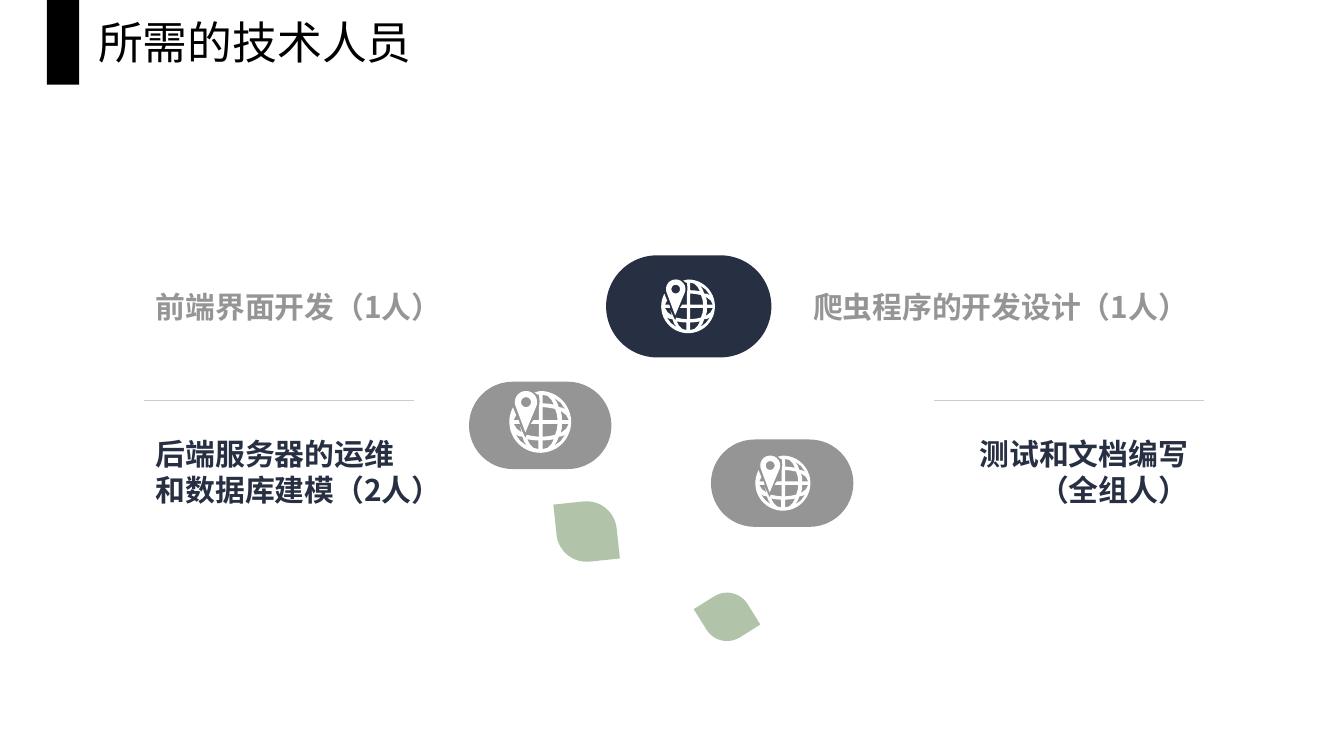
from dataclasses import dataclass
from math import cos, radians, sin

from pptx import Presentation
from pptx import util as u
from pptx.dml.color import RGBColor
from pptx.enum import shapes, text
from pptx.oxml import ns, xmlchemy as xml

In = u.Inches
Geo = shapes.MSO_SHAPE
Align = text.PP_ALIGN
Fit = text.MSO_AUTO_SIZE
Top = text.MSO_ANCHOR.TOP


@dataclass(frozen=True)
class Theme:
    """Colours, font and type sizes of the slide."""
    navy: str = "272F42"
    grey: str = "959595"
    leaf: str = "6F9161"
    rule: str = "CCCCCC"
    black: str = "000000"
    white: str = "FFFFFF"
    font: str = "Noto Sans CJK SC"
    head: int = 24
    body: int = 16


T = Theme()


def put(obj, vals):
    """Set each named attribute on an object."""
    for name, val in vals.items():
        setattr(obj, name, val)


def sub(elm, tag, **vals):
    """Append a child element with the given attributes."""
    child = xml.OxmlElement(tag)
    for name, val in vals.items():
        child.set(name, val)
    elm.append(child)
    return child


def paint(shape, color=None):
    """Give a shape a plain fill, or none, with no line or shadow."""
    shape.shadow.inherit = False
    shape.line.fill.background()
    if color is None:
        shape.fill.background()
    else:
        shape.fill.solid()
        shape.fill.fore_color.rgb = RGBColor.from_string(color)


def block(slide, kind, box, color=None, adjs=()):
    """Add a preset shape."""
    shape = slide.shapes.add_shape(kind, *map(In, box))
    paint(shape, color)
    for i, val in enumerate(adjs):
        shape.adjustments[i] = val
    return shape


def leaf(slide, box, turn):
    """Add a translucent leaf turned by some degrees."""
    shape = block(slide, Geo.ROUND_2_DIAG_RECTANGLE, box, T.leaf, (0, 0.5))
    shape.rotation = turn
    tone = shape.fill._xPr.find(".//" + ns.qn("a:srgbClr"))
    sub(tone, "a:alpha", val="54000")


def write(frame, lines, size, color, align, bold=False):
    """Write one paragraph per line in the theme font."""
    for i, line in enumerate(lines):
        para = frame.paragraphs[0] if i == 0 else frame.add_paragraph()
        para.alignment = align
        run = para.add_run()
        run.text = line
        put(run.font, {"name": T.font, "size": u.Pt(size), "bold": bold})
        run.font.color.rgb = RGBColor.from_string(color)
        sub(run.font._element, "a:ea", typeface=T.font)


def label(slide, box, lines, color, align):
    """Add a bold label without insets or wrapping."""
    frame = block(slide, Geo.RECTANGLE, box).text_frame
    put(frame, {"margin_left": 0, "margin_right": 0, "margin_top": 0,
                "margin_bottom": 0, "word_wrap": False, "vertical_anchor": Top})
    write(frame, lines, T.body, color, align, True)


def rule(slide, left, top, wide):
    """Add a thin level line."""
    line = slide.shapes.add_connector(
        shapes.MSO_CONNECTOR.STRAIGHT, *map(In, (left, top, left + wide, top)))
    line.line.color.rgb = RGBColor.from_string(T.rule)
    line.line.width = u.Pt(0.75)
    sub(line._element.spPr, "a:effectLst")


def arc(mid, rad, start, end, steps=40):
    """Return points on a circle between two angles."""
    angs = [radians(start + (end - start) * i / steps) for i in range(steps + 1)]
    return [(mid[0] + rad * cos(a), mid[1] + rad * sin(a)) for a in angs]


def globe():
    """Return the outlines of a pinned globe on a grid of 100."""
    caps = [[(54, 6), (54, 20), (63, 20.5), (72, 22), (68, 14), (62, 8)],
            [(72, 11), (77, 18), (80, 26), (86, 27), (91, 30), (83, 19)]]
    mids = [[(54, 26), (54, 47), (78, 47), (77, 38), (74, 29), (64, 27)],
            [(83, 32), (85, 40), (85, 47), (96, 47), (92, 39)]]
    dent = [(11, 39), (7, 47), (15, 47), (17, 53), (7, 53), (12, 61), (20, 67),
            (17, 57), (26, 76), (28, 71), (38, 73), (48, 74), (48, 53), (35, 53),
            (39, 47), (48, 47), (48, 26), (49, 17), (48, 6), (46, 6), (41, 2)]
    low = [[(x, 100 - y) for x, y in cell] for cell in caps + mids]
    left = [[(101 - x, y) for x, y in cell] for cell in low[:len(caps)]]
    body = arc((50, 50), 50, -90, 208) + dent
    pin = arc((27, 18), 18, 160, 380) + [(26, 67)]
    hole = arc((27, 18), 8, 0, 360)
    return [body, *caps, *mids, *low, *left, pin, hole]


def icon(slide, left, top, size):
    """Add a white globe icon as one freeform."""
    fine = 10
    paths = [[(x * fine, y * fine) for x, y in path] for path in globe()]
    form = slide.shapes.build_freeform(*paths[0][0], scale=In(size) / (100 * fine))
    for i, path in enumerate(paths):
        if i:
            form.move_to(*path[0])
        form.add_line_segments(path[1:], close=True)
    paint(form.convert_to_shape(In(left), In(top)), T.white)


def title(slide, words):
    """Place the title beside its black bar."""
    head = slide.shapes.title
    put(head, dict(zip(("left", "top", "width", "height"),
                       map(In, (0.63, 0.06, 2.56, 0.5)))))
    put(head.text_frame, {"word_wrap": True, "vertical_anchor": Top,
                          "auto_size": Fit.SHAPE_TO_FIT_TEXT})
    write(head.text_frame, [words], T.head, T.black, Align.JUSTIFY)
    block(slide, Geo.RECTANGLE, (0.35, 0, 0.24, 0.63), T.black)


def main():
    """Build the staffing slide."""
    deck = Presentation()
    put(deck, {"slide_width": In(10), "slide_height": In(10) * 9 // 16})
    slide = deck.slides.add_slide(deck.slide_layouts[5])
    title(slide, "所需的技术人员")
    pills = [((4.51, 1.9, 1.23, 0.76), T.navy, (4.92, 2.08, 0.4)),
             ((5.29, 3.27, 1.06, 0.65), T.grey, (5.62, 3.39, 0.41)),
             ((3.49, 2.84, 1.06, 0.65), T.grey, (3.79, 2.91, 0.46))]
    for box, color, spot in pills:
        block(slide, Geo.ROUNDED_RECTANGLE, box, color, (0.5,))
        icon(slide, *spot)
    leaf(slide, (4.14, 3.73, 0.45, 0.45), -6)
    leaf(slide, (5.23, 4.41, 0.36, 0.36), -32)
    sides = [(1.16, 1.07, 0.75, Align.LEFT, ["前端界面开发（1人）"],
              ["后端服务器的运维", "和数据库建模（2人）"]),
             (6.7, 6.95, 0.65, Align.RIGHT, ["爬虫程序的开发设计（1人）"],
              ["测试和文档编写", "（全组人）"])]
    for left, start, high, align, upper, lower in sides:
        label(slide, (left, 2.15, 2.14, 0.25), upper, T.grey, align)
        label(slide, (left, 3.24, 2.14, high), lower, T.navy, align)
        rule(slide, start, 2.98, 2.01)
    deck.save("out.pptx")


if __name__ == "__main__":
    main()
